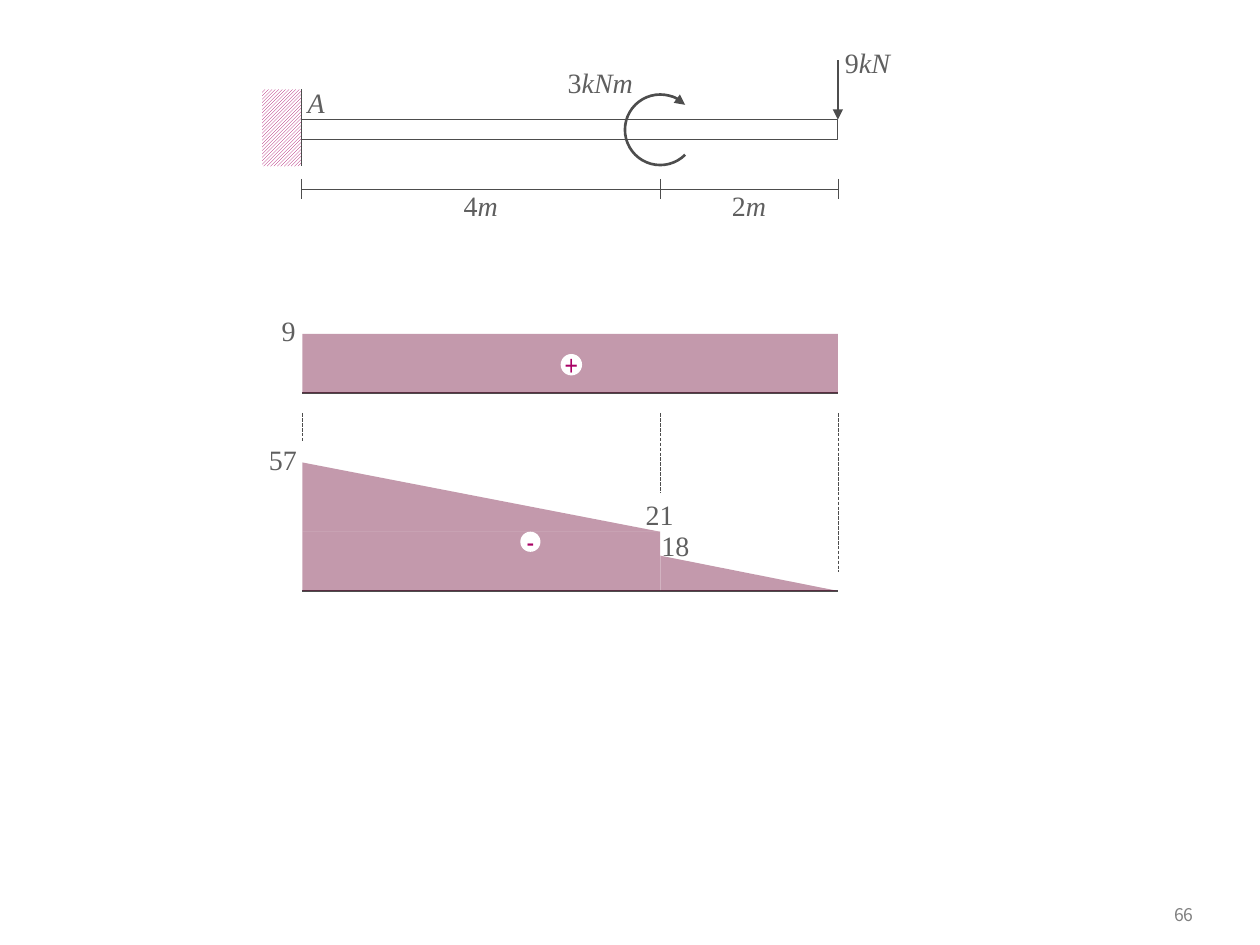
from dataclasses import dataclass
from lxml.etree import SubElement
from pptx import Presentation
from pptx.dml.color import RGBColor
from pptx.enum.dml import MSO_LINE, MSO_PATTERN
from pptx.enum.shapes import MSO_CONNECTOR, MSO_SHAPE
from pptx.enum.text import MSO_ANCHOR, PP_ALIGN
from pptx.oxml.ns import qn
from pptx.util import Inches, Pt


@dataclass(frozen=True)
class Theme:
    ink: RGBColor = RGBColor.from_string("4D4D4D")
    label: RGBColor = RGBColor.from_string("5F5F5F")
    page: RGBColor = RGBColor.from_string("808080")
    white: RGBColor = RGBColor.from_string("FFFFFF")
    pink: RGBColor = RGBColor.from_string("A90165")
    wine: RGBColor = RGBColor.from_string("6B0131")
    serif: str = "Times New Roman"
    sign: str = "Arial Narrow"
    sans: str = "Noto Sans CJK KR"
    size: Pt = Pt(16)
    small: Pt = Pt(10)
    hair: Pt = Pt(0.25)
    thin: Pt = Pt(0.75)
    bold: Pt = Pt(1.5)


theme = Theme()
deck = Presentation()
deck.slide_width, deck.slide_height = Inches(10), Inches(7.5)
shapes = deck.slides.add_slide(deck.slide_layouts[6]).shapes


def add_line(x1, y1, x2, y2, width=theme.hair):
    line = shapes.add_connector(
        MSO_CONNECTOR.STRAIGHT, Inches(x1), Inches(y1), Inches(x2), Inches(y2))
    line.line.color.rgb = theme.ink
    line.line.width = width
    SubElement(line._element.spPr, qn("a:effectLst"))
    return line


def add_run(para, text, font, size, color, slant=False):
    run = para.add_run()
    run.text = text
    run.font.name = font
    run.font.size = size
    run.font.color.rgb = color
    run.font.italic = slant


left, mid, right = 2.4, 5.24, 6.65
wall = 2.39
shear, moment = 3.12, 4.69

beam = shapes.add_shape(
    MSO_SHAPE.RECTANGLE, Inches(wall), Inches(0.95), Inches(right - wall), Inches(0.16))
beam.shadow.inherit = False
beam.fill.solid()
beam.fill.fore_color.rgb = theme.white
beam.line.color.rgb = theme.ink
beam.line.width = theme.thin

add_line(wall, 1.5, right, 1.5)
for x in (wall, mid, right):
    add_line(x, 1.42, x, 1.58)

hatch = shapes.add_shape(
    MSO_SHAPE.RECTANGLE, Inches(2.08), Inches(0.71), Inches(0.31), Inches(0.61))
hatch.shadow.inherit = False
hatch.fill.patterned()
hatch.fill.pattern = MSO_PATTERN.LIGHT_UPWARD_DIAGONAL
hatch.fill.fore_color.rgb = theme.pink
hatch.fill.back_color.rgb = theme.white
hatch.line.fill.background()
add_line(wall, 0.71, wall, 1.32)

arc = shapes.add_shape(
    MSO_SHAPE.ARC, Inches(4.96), Inches(0.75), Inches(0.56), Inches(0.56))
arc.shadow.inherit = False
arc.adjustments[0], arc.adjustments[1] = 54, 0
arc.rotation = 315
arc.fill.background()
arc.line.color.rgb = theme.ink
arc.line.width = theme.bold
force = add_line(right, 0.48, right, 0.95, theme.bold)
for item in (arc, force):
    SubElement(item.line._get_or_add_ln(), qn("a:tailEnd"), type="triangle")

for y in (shear, moment):
    add_line(left, y, right, y, theme.thin)
for x, y in ((left, 3.51), (mid, 3.91), (right, 4.54)):
    add_line(x, 3.28, x, y).line.dash_style = MSO_LINE.LONG_DASH

areas = [
    (MSO_SHAPE.RECTANGLE, left, 2.65, right - left, 0.47),
    (MSO_SHAPE.ISOSCELES_TRIANGLE, left, 3.67, mid - left, 0.55),
    (MSO_SHAPE.RECTANGLE, left, 4.22, mid - left, 0.47),
    (MSO_SHAPE.ISOSCELES_TRIANGLE, mid, 4.41, right - mid, 0.28),
]
for kind, x, y, w, h in areas:
    area = shapes.add_shape(kind, Inches(x), Inches(y), Inches(w), Inches(h))
    area.shadow.inherit = False
    if kind == MSO_SHAPE.ISOSCELES_TRIANGLE:
        area.adjustments[0] = 0
    area.fill.solid()
    area.fill.fore_color.rgb = theme.wine
    tint = area._element.spPr.find(qn("a:solidFill"))[0]
    SubElement(tint, qn("a:alpha"), val="40000")
    area.line.fill.background()

for sign, x, y, d in (("+", 4.45, 2.81, 0.17), ("-", 4.13, 4.22, 0.16)):
    disc = shapes.add_shape(MSO_SHAPE.OVAL, Inches(x), Inches(y), Inches(d), Inches(d))
    disc.shadow.inherit = False
    disc.fill.solid()
    disc.fill.fore_color.rgb = theme.white
    disc.line.fill.background()
    frame = disc.text_frame
    frame.word_wrap = False
    frame.vertical_anchor = MSO_ANCHOR.MIDDLE
    para = frame.paragraphs[0]
    para.alignment = PP_ALIGN.CENTER
    add_run(para, sign, theme.sign, theme.size, theme.pink)

labels = [
    ("", "A", wall, 0.68, 0.24),
    ("3", "kNm", 4.45, 0.52, 0.63),
    ("9", "kN", right, 0.36, 0.47),
    ("4", "m", 3.58, 1.5, 0.47),
    ("2", "m", 5.71, 1.5, 0.47),
    ("9", "", 2.17, 2.49, 0.24),
    ("57", "", 2.09, 3.51, 0.31),
    ("21", "", 5.08, 3.95, 0.31),
    ("18", "", mid, 4.19, 0.24),
]
for value, unit, x, y, w in labels:
    frame = shapes.add_textbox(Inches(x), Inches(y), Inches(w), Inches(0.27)).text_frame
    frame.margin_left = frame.margin_right = frame.margin_top = frame.margin_bottom = 0
    frame.word_wrap = bool(unit)
    frame.vertical_anchor = MSO_ANCHOR.TOP if unit else MSO_ANCHOR.MIDDLE
    para = frame.paragraphs[0]
    para.alignment = PP_ALIGN.CENTER
    for text, slant in ((value, False), (unit, True)):
        if text:
            add_run(para, text, theme.serif, theme.size, theme.label, slant)

frame = shapes.add_textbox(
    Inches(8.86), Inches(7.09), Inches(0.71), Inches(0.33)).text_frame
frame.word_wrap = True
frame.vertical_anchor = MSO_ANCHOR.MIDDLE
para = frame.paragraphs[0]
para.alignment = PP_ALIGN.RIGHT
add_run(para, "66", theme.sans, theme.small, theme.page)

deck.save("out.pptx")
